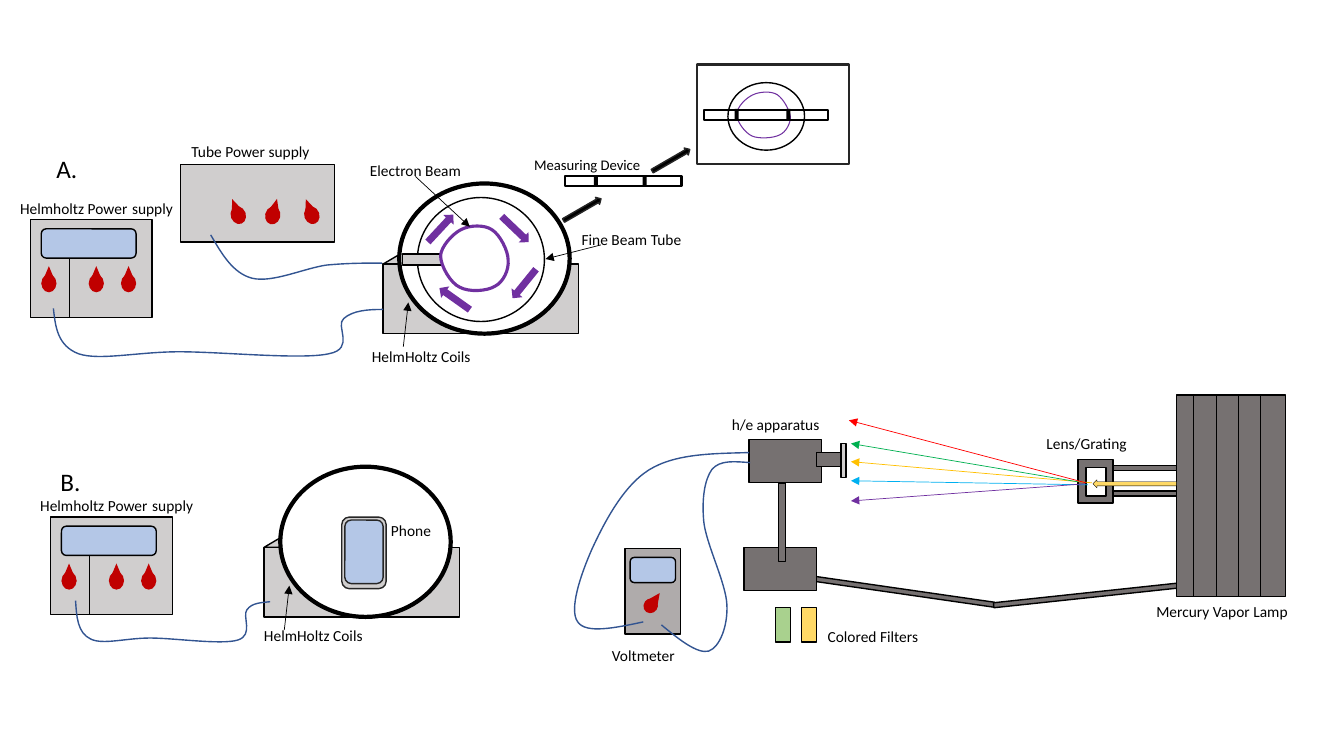
"""Draws the fine beam tube, phone and photoelectric set-ups on one slide."""
from dataclasses import dataclass
from math import cos, radians, sin

from lxml.etree import SubElement
from pptx import Presentation
from pptx.dml.color import RGBColor
from pptx.enum.shapes import MSO_CONNECTOR, MSO_SHAPE
from pptx.enum.text import MSO_AUTO_SIZE
from pptx.oxml.ns import qn
from pptx.util import Inches, Pt

RECT, ROUND, OVAL = MSO_SHAPE.RECTANGLE, MSO_SHAPE.ROUNDED_RECTANGLE, MSO_SHAPE.OVAL
TRIANGLE, WEDGE = MSO_SHAPE.ISOSCELES_TRIANGLE, MSO_SHAPE.RIGHT_TRIANGLE
UP, RIGHT, LEFT = MSO_SHAPE.UP_ARROW, MSO_SHAPE.RIGHT_ARROW, MSO_SHAPE.LEFT_ARROW
STRAIGHT, FIT = MSO_CONNECTOR.STRAIGHT, MSO_AUTO_SIZE.SHAPE_TO_FIT_TEXT


@dataclass(frozen=True)
class Theme:
    """Colours, font and type sizes of the slide."""
    black: str = "000000"
    white: str = "FFFFFF"
    charcoal: str = "262626"
    casing: str = "D0CECE"
    meter: str = "AFABAB"
    metal: str = "767171"
    screen: str = "B4C7E7"
    knob: str = "C00000"
    wire: str = "325491"
    purple: str = "7030A0"
    amber: str = "FFD966"
    leaf: str = "A9D18E"
    red: str = "FF0000"
    green: str = "00B050"
    orange: str = "FFC000"
    blue: str = "00B0F0"
    font: str = "Calibri"
    heading: float = 18
    label: float = 11
    small: float = 10.5
    gap: float = 14


T = Theme()


@dataclass(frozen=True)
class Part:
    """A preset shape; box is left, top, width, height."""
    kind: MSO_SHAPE
    box: tuple[float, ...]
    fill: str | None = None
    line: str | None = T.black
    weight: float = 1
    rotation: float = 0


@dataclass(frozen=True)
class Link:
    """A straight line, with an arrowhead at its end if pointed."""
    start: tuple[float, float]
    end: tuple[float, float]
    colour: str = T.black
    pointed: bool = True


@dataclass(frozen=True)
class Curve:
    """A chain of cubic curves: a start point, then three points for each curve."""
    points: tuple[tuple[float, float], ...]
    colour: str = T.wire
    weight: float = 1
    closed: bool = False


@dataclass(frozen=True)
class Label:
    """A caption made of runs of text and size."""
    box: tuple[float, ...]
    runs: tuple[tuple[str, float], ...]


def draw_part(part: Part):
    """Draws one preset shape and returns it."""
    shape = shapes.add_shape(part.kind, *map(Inches, part.box))
    shape.shadow.inherit = False
    shape.rotation = part.rotation
    paint(shape, part.fill, part.line, part.weight)
    return shape


def paint(shape, fill: str | None, line: str | None, weight: float) -> None:
    """Sets the fill and outline of a shape."""
    for surface, colour in ((shape.fill, fill), (shape.line.fill, line)):
        if colour:
            surface.solid()
            surface.fore_color.rgb = RGBColor.from_string(colour)
        else:
            surface.background()
    if line:
        shape.line.width = Pt(weight)


def draw_link(link: Link) -> None:
    """Draws one straight line."""
    ends = map(Inches, (*link.start, *link.end))
    connector = shapes.add_connector(STRAIGHT, *ends)
    connector.line.color.rgb = RGBColor.from_string(link.colour)
    connector.line.width = Pt(0.5)
    properties = connector.element.spPr
    if link.pointed:
        SubElement(properties.find(qn("a:ln")), qn("a:tailEnd"), type="triangle")
    SubElement(properties, qn("a:effectLst"))


def draw_curve(curve: Curve) -> None:
    """Draws a freeform and bends every three segments into one cubic curve."""
    start, *rest = [(Inches(x), Inches(y)) for x, y in curve.points]
    builder = shapes.build_freeform(*start)
    builder.add_line_segments(rest, close=curve.closed)
    shape = builder.convert_to_shape()
    shape.shadow.inherit = False
    segments = list(shape.element.iter(qn("a:lnTo")))
    for first in range(0, len(segments), 3):
        bend, *others = segments[first:first + 3]
        cubic = SubElement(bend.getparent(), qn("a:cubicBezTo"))
        bend.addprevious(cubic)
        for segment in (bend, *others):
            cubic.append(segment[0])
            segment.getparent().remove(segment)
    paint(shape, T.white if curve.closed else None, curve.colour, curve.weight)


def draw_label(label: Label) -> None:
    """Draws one caption."""
    box = shapes.add_textbox(*map(Inches, label.box))
    box.text_frame.word_wrap = True
    box.text_frame.auto_size = FIT
    for text, size in label.runs:
        run = box.text_frame.paragraphs[0].add_run()
        run.text, run.font.size, run.font.name = text, Pt(size), T.font
        run.font.color.rgb = RGBColor.from_string(T.black)


def draw_knob(x: float, y: float, turn: float = 0, width: float = 0.15, height: float = 0.18) -> None:
    """Draws a drop-shaped knob whose round end follows its turn."""
    dx, dy = -0.08 * sin(radians(turn)), 0.08 * cos(radians(turn))
    draw_part(Part(TRIANGLE, (x, y, width, height), T.knob, None, rotation=turn))
    draw_part(Part(OVAL, (x + dx, y + dy, width, height), T.knob, None, rotation=turn))


def draw_coil_supply(x: float, y: float) -> None:
    """Draws a Helmholtz power supply with its caption."""
    draw_part(Part(RECT, (x, y, 1.21, 0.97), T.casing))
    for offset in (0.11, 0.58, 0.9):
        draw_knob(x + offset, y + 0.46)
    draw_link(Link((x + 0.39, y + 0.38), (x + 0.39, y + 0.97), pointed=False))
    draw_part(Part(ROUND, (x + 0.11, y + 0.09, 0.94, 0.29), T.screen))
    power = (("Helmholtz Power", T.label), (" ", T.gap), ("supply", T.label))
    draw_label(Label((x - 0.2, y - 0.3, 1.89, 0.34), power))


def draw_coils(x: float, y: float) -> None:
    """Draws the Helmholtz coils on their stand, with the pointer from the caption."""
    wedge = draw_part(Part(WEDGE, (x, y - 0.1, 0.17, 0.1), T.casing))
    wedge.element.spPr.find(qn("a:xfrm")).set("flipH", "1")
    draw_part(Part(RECT, (x, y, 1.94, 0.69), T.casing))
    draw_part(Part(OVAL, (x + 0.16, y - 0.8, 1.69, 1.49), T.white, weight=3))
    draw_link(Link((x + 0.2, y + 0.82), (x + 0.25, y + 0.38)))


def draw_measure(x: float, y: float, width: float) -> None:
    """Draws the measuring device with marks at a quarter and two thirds."""
    draw_part(Part(RECT, (x, y, width, 0.1), weight=1.5))
    for share in (1 / 4, 2 / 3):
        draw_part(Part(RECT, (x + share * width, y - 0.01, 0.04, 0.11), T.black, None))


deck = Presentation()
deck.slide_width, deck.slide_height = Inches(13.33), Inches(7.5)
shapes = deck.slides.add_slide(deck.slide_layouts[6]).shapes

draw_coil_supply(0.5, 5.13)
draw_coils(2.62, 5.43)
draw_coil_supply(0.3, 2.18)
draw_part(Part(RECT, (1.79, 1.63, 1.53, 0.77), T.casing))
for left, turn in ((2.26, -20.6), (2.65, 14.4), (2.99, -20.3)):
    draw_knob(left, 1.97, turn)
draw_coils(3.8, 2.62)
draw_measure(5.6, 1.75, 1.16)

BEAM = ((4.37, 2.54), (4.37, 2.45), (4.49, 2.32), (4.57, 2.28), (4.66, 2.23), (4.81, 2.23), (4.88, 2.28),
        (4.96, 2.33), (5.04, 2.49), (5.04, 2.58), (5.05, 2.68), (4.99, 2.8), (4.91, 2.84),
        (4.83, 2.89), (4.65, 2.9), (4.56, 2.85), (4.47, 2.81), (4.37, 2.64), (4.37, 2.54))
VIEWED_BEAM = ((7.31, 1.13), (7.31, 1.06), (7.4, 0.97), (7.47, 0.94), (7.53, 0.91), (7.65, 0.9), (7.71, 0.94),
               (7.77, 0.98), (7.83, 1.09), (7.84, 1.16), (7.84, 1.22), (7.8, 1.31), (7.73, 1.34),
               (7.67, 1.37), (7.53, 1.38), (7.46, 1.35), (7.39, 1.32), (7.3, 1.2), (7.31, 1.13))
WIRES = (
    ((2.68, 5.97), (2.59, 5.98), (2.5, 5.98), (2.45, 6.05), (2.4, 6.11), (2.52, 6.3), (2.36, 6.35), (2.2, 6.4),
     (1.73, 6.33), (1.49, 6.33), (1.25, 6.33), (1.02, 6.4), (0.9, 6.34), (0.77, 6.28), (0.76, 6.12), (0.75, 5.96)),
    ((3.8, 3.07), (3.65, 3.07), (3.5, 3.08), (3.41, 3.16), (3.32, 3.23), (3.53, 3.46), (3.26, 3.51), (2.99, 3.57),
     (2.2, 3.49), (1.78, 3.49), (1.37, 3.49), (0.99, 3.58), (0.78, 3.51), (0.57, 3.43), (0.55, 3.24), (0.53, 3.06)),
    ((3.79, 2.61), (3.62, 2.61), (3.45, 2.61), (3.24, 2.63), (3.02, 2.66), (2.7, 2.81), (2.5, 2.76),
     (2.31, 2.71), (2.2, 2.52), (2.09, 2.33)),
    ((7.44, 4.59), (7.29, 4.58), (7.14, 4.56), (7.06, 4.66), (6.99, 4.76), (6.96, 4.94), (6.98, 5.17), (7, 5.39),
     (7.2, 5.78), (7.21, 6), (7.22, 6.21), (7.14, 6.42), (7.03, 6.46), (6.92, 6.49), (6.74, 6.35), (6.56, 6.2)),
    ((7.43, 4.49), (7.07, 4.5), (6.7, 4.5), (6.44, 4.66), (6.18, 4.82), (5.99, 5.19), (5.87, 5.45), (5.76, 5.7),
     (5.64, 6.05), (5.73, 6.17), (5.81, 6.29), (6.1, 6.23), (6.38, 6.17)))

PHONE = (Part(ROUND, (3.39, 5.13, 0.44, 0.71), T.casing, T.charcoal),
         Part(ROUND, (3.42, 5.16, 0.38, 0.63), T.screen, T.charcoal))
TUBE = (Part(OVAL, (4.14, 1.96, 1.26, 1.23)), Part(RECT, (3.99, 2.52, 0.4, 0.11), T.casing))
TURNS = tuple(Part(UP, (x, y, 0.14, 0.37), T.purple, None, rotation=turn) for x, y, turn in
              ((5.04, 2.09, 133.6), (4.3, 2.08, 42.9), (5.13, 2.63, 219.1), (4.44, 2.78, 305.4)))
STEPS = tuple(Part(RIGHT, (x, y, 0.43, 0.08), T.black, T.charcoal, rotation=330)
              for x, y in ((5.56, 2.04), (6.44, 1.55)))
VOLTMETER = (Part(RECT, (6.2, 5.44, 0.55, 0.85), T.meter), Part(ROUND, (6.25, 5.53, 0.45, 0.25), T.screen))
FILTERS = tuple(Part(RECT, (x, 6.03, 0.15, 0.34), tint) for x, tint in ((7.69, T.leaf), (7.95, T.amber)))
BENCH = tuple(Part(RECT, box, T.metal, rotation=turn) for box, turn in (
    ((10.89, 4.62, 0.95, 0.05), 0), ((10.89, 4.87, 0.95, 0.05), 0), ((10.69, 4.56, 0.35, 0.43), 0),
    ((7.99, 5.84, 1.88, 0.05), 8.2), ((7.38, 5.43, 0.72, 0.43), 0), ((9.85, 5.88, 1.88, 0.05), 353.9),
    ((7.43, 4.36, 0.72, 0.43), 0), ((7.72, 4.79, 0.07, 0.78), 0), ((11.67, 3.92, 1.08, 2), 0),
    ((8.1, 4.49, 0.26, 0.14), 0)))
OPENINGS = (Part(RECT, (10.77, 4.64, 0.2, 0.28), T.white), Part(RECT, (8.34, 4.4, 0.05, 0.34), T.casing))
LAMP_BEAM = Part(LEFT, (10.84, 4.76, 0.83, 0.08), T.amber, weight=0.25)
VIEW = Part(RECT, (6.91, 0.64, 1.51, 0.99), None, T.charcoal, 1.5)
for part in (*PHONE, *TUBE, *TURNS, *STEPS, *VOLTMETER, *FILTERS, *BENCH, *OPENINGS, LAMP_BEAM, VIEW):
    draw_part(part)
draw_knob(6.43, 5.87, 35.2, 0.14, 0.15)
for curve in (Curve(BEAM, T.purple, 2.25, True), Curve(VIEWED_BEAM, T.purple, 0.75, True), *map(Curve, WIRES)):
    draw_curve(curve)
draw_measure(6.98, 1.09, 1.23)
draw_part(Part(OVAL, (7.22, 0.82, 0.76, 0.67)))

RAYS = (Link((10.83, 4.79), (8.44, 4.58), T.orange), Link((10.79, 4.81), (8.44, 4.77), T.blue),
        Link((10.76, 4.8), (8.44, 4.97), T.purple), Link((10.69, 4.78), (8.44, 4.4), T.green),
        Link((10.77, 4.79), (8.42, 4.17), T.red))
SLATS = tuple(Link((11.84 + 0.22 * i, 3.92), (11.84 + 0.22 * i, 5.91), pointed=False) for i in range(4))
POINTERS = (Link((5.96, 2.43), (5.41, 2.57)), Link((4.12, 1.75), (4.66, 2.25)))
for link in (*RAYS, *SLATS, *POINTERS):
    draw_link(link)

for x, y, width, text, size in (
        (0.46, 1.47, 1.05, "A.", T.heading), (0.5, 4.58, 1.05, "B.", T.heading),
        (5.67, 2.23, 1.89, "Fine Beam Tube", T.label), (1.8, 1.36, 1.89, "Tube Power supply", T.label),
        (3.59, 3.39, 1.89, "HelmHoltz Coils", T.label), (5.2, 1.5, 2, "Measuring Device", T.small),
        (2.52, 6.16, 1.26, "HelmHoltz Coils", T.label), (3.78, 5.12, 0.67, "Phone", T.label),
        (5.97, 6.36, 0.88, "Voltmeter", T.label), (8.11, 6.17, 1.23, "Colored Filters", T.label),
        (7.16, 4.07, 1.23, "h/e apparatus", T.label), (10.28, 4.26, 1.1, "Lens/Grating", T.label),
        (11.37, 5.92, 1.85, "Mercury Vapor Lamp", T.label), (3.57, 1.55, 1.89, "Electron Beam", T.label)):
    draw_label(Label((x, y, width, 0.4 if size == T.heading else 0.29), ((text, size),)))

deck.save("out.pptx")
